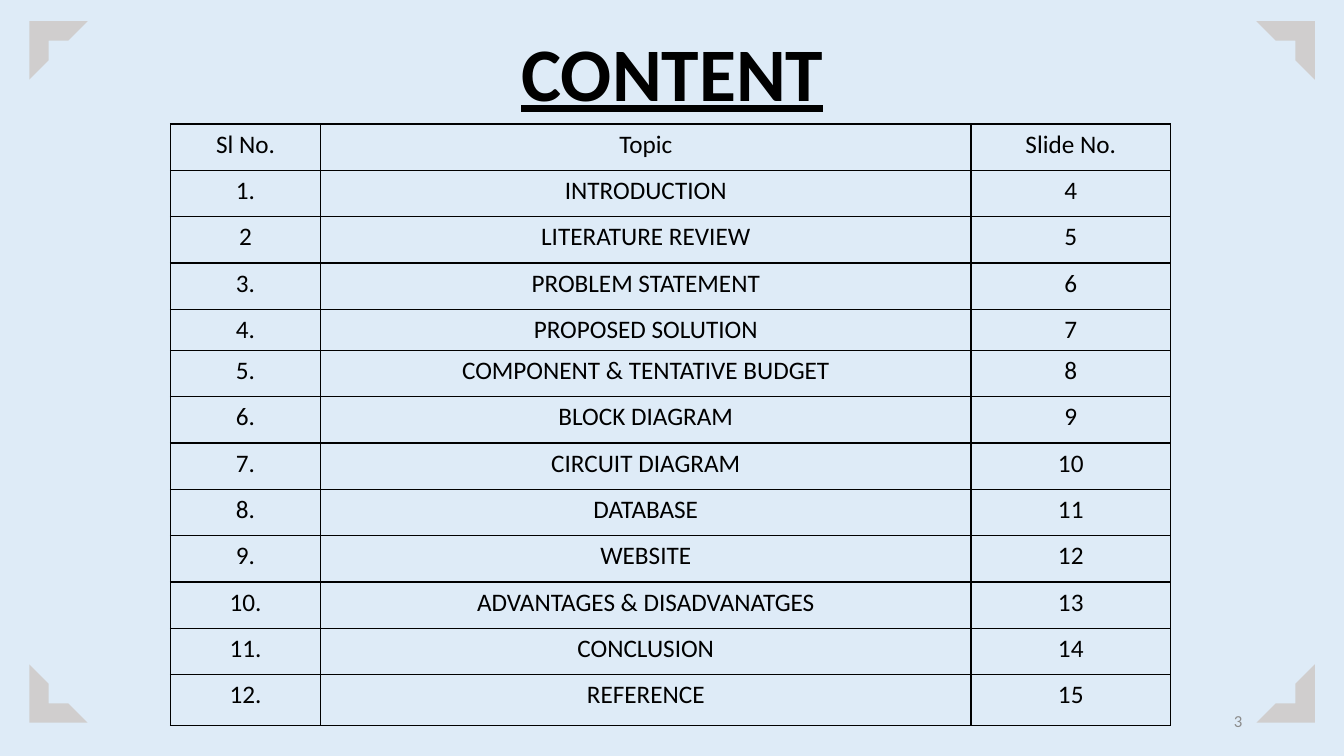
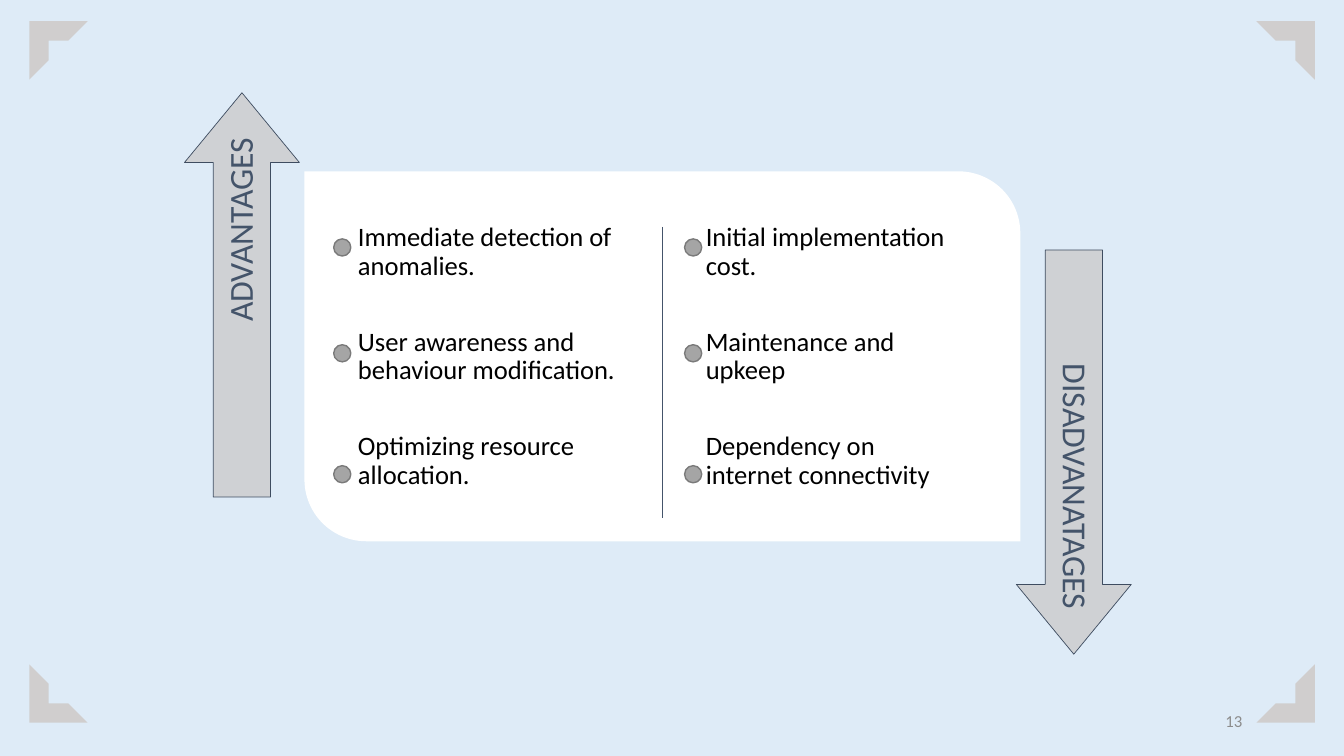
from pptx import Presentation
from pptx.dml.color import RGBColor
from pptx.enum.shapes import MSO_CONNECTOR, MSO_SHAPE
from pptx.enum.text import MSO_ANCHOR, MSO_AUTO_SIZE, PP_ALIGN
from pptx.oxml.ns import qn
from pptx.util import Inches, Pt
from lxml.etree import SubElement

PALE_BLUE = RGBColor(0xDE, 0xEB, 0xF7)
BLACK = RGBColor(0x00, 0x00, 0x00)
WHITE = RGBColor(0xFF, 0xFF, 0xFF)
CORNER_GREY = RGBColor(0xD0, 0xCE, 0xCE)
NUMBER_GREY = RGBColor(0x8C, 0x8C, 0x8C)
ARROW_FILL = RGBColor(0xCF, 0xD1, 0xD4)
ARROW_LINE = RGBColor(0x3E, 0x4C, 0x60)
SLATE = RGBColor(0x44, 0x54, 0x6A)
DOT_FILL = RGBColor(0xA5, 0xA5, 0xA5)
DOT_LINE = RGBColor(0x7A, 0x7A, 0x7A)
FONT = "Calibri"
TITLE_ONLY, TWO_CONTENT = 5, 3

TOPICS = [
    ("Sl No.", "Topic", "Slide No."),
    ("1.", "INTRODUCTION", "4"),
    ("2", "LITERATURE REVIEW", "5"),
    ("3.", "PROBLEM STATEMENT", "6"),
    ("4.", "PROPOSED SOLUTION", "7"),
    ("5.", "COMPONENT & TENTATIVE BUDGET", "8"),
    ("6.", "BLOCK DIAGRAM", "9"),
    ("7.", "CIRCUIT DIAGRAM", "10"),
    ("8.", "DATABASE", "11"),
    ("9.", "WEBSITE", "12"),
    ("10.", "ADVANTAGES & DISADVANATGES", "13"),
    ("11.", "CONCLUSION", "14"),
    ("12.", "REFERENCE", "15"),
]
COL_WIDTHS = [1.49, 6.45, 1.98]
ROW_HEIGHTS = [0.46] * 4 + [0.2] + [0.46] * 7 + [0.5]
ADVANTAGES = [
    "Immediate detection of anomalies.",
    "User awareness and behaviour modification.",
    "Optimizing resource allocation.",
]
DISADVANTAGES = [
    "Initial implementation cost.",
    "Maintenance and upkeep",
    "Dependency on internet connectivity",
]


def place(shape, x, y, w, h):
    """Move and size a shape, in inches."""
    shape.left, shape.top = Inches(x), Inches(y)
    shape.width, shape.height = Inches(w), Inches(h)


def add_run(p, text, size, color=BLACK):
    """Add one formatted run to a paragraph."""
    r = p.add_run()
    r.text = text
    r.font.name, r.font.size = FONT, Pt(size)
    r.font.color.rgb = color
    return r


def set_insets(tf, inset):
    """Give a text frame the same inset on all sides."""
    tf.margin_left = tf.margin_right = Inches(inset)
    tf.margin_top = tf.margin_bottom = Inches(inset)


def add_shape(s, kind, x, y, w, h, fill, line=None, weight=1):
    """Add a flat preset shape."""
    sp = s.shapes.add_shape(kind, Inches(x), Inches(y), Inches(w), Inches(h))
    sp.shadow.inherit = False
    sp.fill.solid()
    sp.fill.fore_color.rgb = fill
    if line is None:
        sp.line.fill.background()
    else:
        sp.line.color.rgb, sp.line.width = line, Pt(weight)
    return sp


def add_label(s, x, y, w, h, text, size, color):
    """Add a right-aligned, vertically centred line of text."""
    box = s.shapes.add_textbox(Inches(x), Inches(y), Inches(w), Inches(h))
    tf = box.text_frame
    tf.word_wrap = True
    tf.vertical_anchor = MSO_ANCHOR.MIDDLE
    p = tf.paragraphs[0]
    p.alignment = PP_ALIGN.RIGHT
    add_run(p, text, size, color)
    return box


def add_frame(s, number):
    """Add the four corner marks and the slide number."""
    left, top, right, bottom, size = 0.29, 0.21, 12.46, 6.59, 0.58
    corners = [(left, top), (right, top), (right, bottom), (left, bottom)]
    for i, (x, y) in enumerate(corners):
        mark = add_shape(s, MSO_SHAPE.HALF_FRAME, x, y, size, size, CORNER_GREY)
        mark.rotation = 90 * i
    add_label(s, 9.42, 6.95, 3, 0.4, number, 12, NUMBER_GREY)


def add_title(s, text, x, y, w, h):
    """Fill the title placeholder."""
    title = s.shapes.title
    place(title, x, y, w, h)
    tf = title.text_frame
    tf.auto_size = MSO_AUTO_SIZE.NONE
    p = tf.paragraphs[0]
    p.alignment = PP_ALIGN.CENTER
    r = add_run(p, text, 54)
    r.font.bold = r.font.underline = True


def add_borders(cell):
    """Draw thin black borders round a table cell."""
    tc_pr = cell._tc.get_or_add_tcPr()
    for i, side in enumerate(("a:lnL", "a:lnR", "a:lnT", "a:lnB")):
        ln = tc_pr.makeelement(qn(side), {"w": str(Pt(1))})
        fill = SubElement(ln, qn("a:solidFill"))
        SubElement(fill, qn("a:srgbClr"), val=str(BLACK))
        tc_pr.insert(i, ln)


def add_topic_table(s, x, y):
    """Add the table of contents."""
    w, h = sum(COL_WIDTHS), sum(ROW_HEIGHTS)
    table = s.shapes.add_table(len(TOPICS), len(COL_WIDTHS), Inches(x),
                               Inches(y), Inches(w), Inches(h)).table
    table.first_row = table.horz_banding = False
    for col, width in zip(table.columns, COL_WIDTHS):
        col.width = Inches(width)
    for row, height, texts in zip(table.rows, ROW_HEIGHTS, TOPICS):
        row.height = Inches(height)
        for cell, text in zip(row.cells, texts):
            cell.fill.background()
            add_borders(cell)
            p = cell.text_frame.paragraphs[0]
            p.alignment = PP_ALIGN.CENTER
            add_run(p, text, 18)


def add_list(box, items, x, y, w, h):
    """Fill a body placeholder with spaced items and bring it to the front."""
    place(box, x, y, w, h)
    box.element.getparent().append(box.element)
    tf = box.text_frame
    tf.auto_size = MSO_AUTO_SIZE.NONE
    tf.vertical_anchor = MSO_ANCHOR.TOP
    set_insets(tf, 0.08)
    for i, item in enumerate(items):
        p = tf.add_paragraph() if i else tf.paragraphs[0]
        p.line_spacing = 0.9
        p.space_before, p.space_after = Pt(0), Pt(33.5)
        p_pr = p._p.get_or_add_pPr()
        p_pr.set("marL", "0")
        p_pr.set("indent", "0")
        SubElement(p_pr, qn("a:buNone"))
        add_run(p, item, 19)


def add_panel(s, x, y, w, h):
    """Add the white panel with its divider, lists and dots."""
    panel = add_shape(s, MSO_SHAPE.ROUND_2_DIAG_RECTANGLE, x, y, w, h, WHITE)
    panel.adjustments[0], panel.adjustments[1] = 0, 0.167
    mid = Inches(x + w / 2)
    divider = s.shapes.add_connector(MSO_CONNECTOR.STRAIGHT, mid,
                                     Inches(y + 0.55), mid, Inches(y + 3.44))
    divider.line.color.rgb, divider.line.width = SLATE, Pt(0.5)
    SubElement(divider.element.spPr, qn("a:effectLst"))
    columns = [(ADVANTAGES, 0.45, 2.78, 0.29), (DISADVANTAGES, 3.9, 2.7, 3.77)]
    bodies = [ph for ph in s.placeholders if ph.placeholder_format.idx]
    for body, (items, dx, width, dot_dx) in zip(bodies, columns):
        add_list(body, items, x + dx, y + 0.44, width, 3.12)
        for dot_dy in (0.67, 1.72, 2.92):
            add_shape(s, MSO_SHAPE.OVAL, x + dot_dx, y + dot_dy, 0.17, 0.17,
                      DOT_FILL, DOT_LINE)


def add_block_arrow(s, text, x, y, w, h, up):
    """Add a vertical block arrow whose label reads towards its tip."""
    cx, cy = x + w / 2, y + h / 2
    turn, shift = (270, 0.175) if up else (90, -0.175)
    arrow = add_shape(s, MSO_SHAPE.RIGHT_ARROW, cx - h / 2, cy - w / 2, h, w,
                      ARROW_FILL, ARROW_LINE, 0.5)
    arrow.adjustments[0], arrow.adjustments[1] = 0.498, 0.607
    length, depth = 3.66, 0.57
    label = add_label(s, cx - length / 2, cy + shift - depth / 2, length, depth,
                      text, 24, SLATE)
    set_insets(label.text_frame, 0.1)
    label.text_frame.paragraphs[0].line_spacing = 0.9
    arrow.rotation = label.rotation = turn


def content_slide(prs):
    """Build the table of contents slide."""
    s = prs.slides.add_slide(prs.slide_layouts[TITLE_ONLY])
    add_topic_table(s, 1.69, 1.23)
    add_title(s, "CONTENT", 2.06, 0.2, 9.22, 1.01)
    add_frame(s, "3")


def comparison_slide(prs):
    """Build the advantages and disadvantages slide."""
    s = prs.slides.add_slide(prs.slide_layouts[TWO_CONTENT])
    title = s.shapes.title.element
    title.getparent().remove(title)
    add_panel(s, 3.02, 1.7, 7.1, 3.67)
    add_block_arrow(s, "ADVANTAGES", 1.83, 0.92, 1.14, 4.01, up=True)
    add_block_arrow(s, "DISADVANATAGES", 10.08, 2.48, 1.14, 4.01, up=False)
    add_frame(s, "13")


def main():
    """Build and save the presentation."""
    prs = Presentation()
    prs.slide_width, prs.slide_height = Inches(13.33), Inches(7.5)
    background = prs.slide_master.background.fill
    background.solid()
    background.fore_color.rgb = PALE_BLUE
    content_slide(prs)
    comparison_slide(prs)
    prs.save("out.pptx")


if __name__ == "__main__":
    main()
